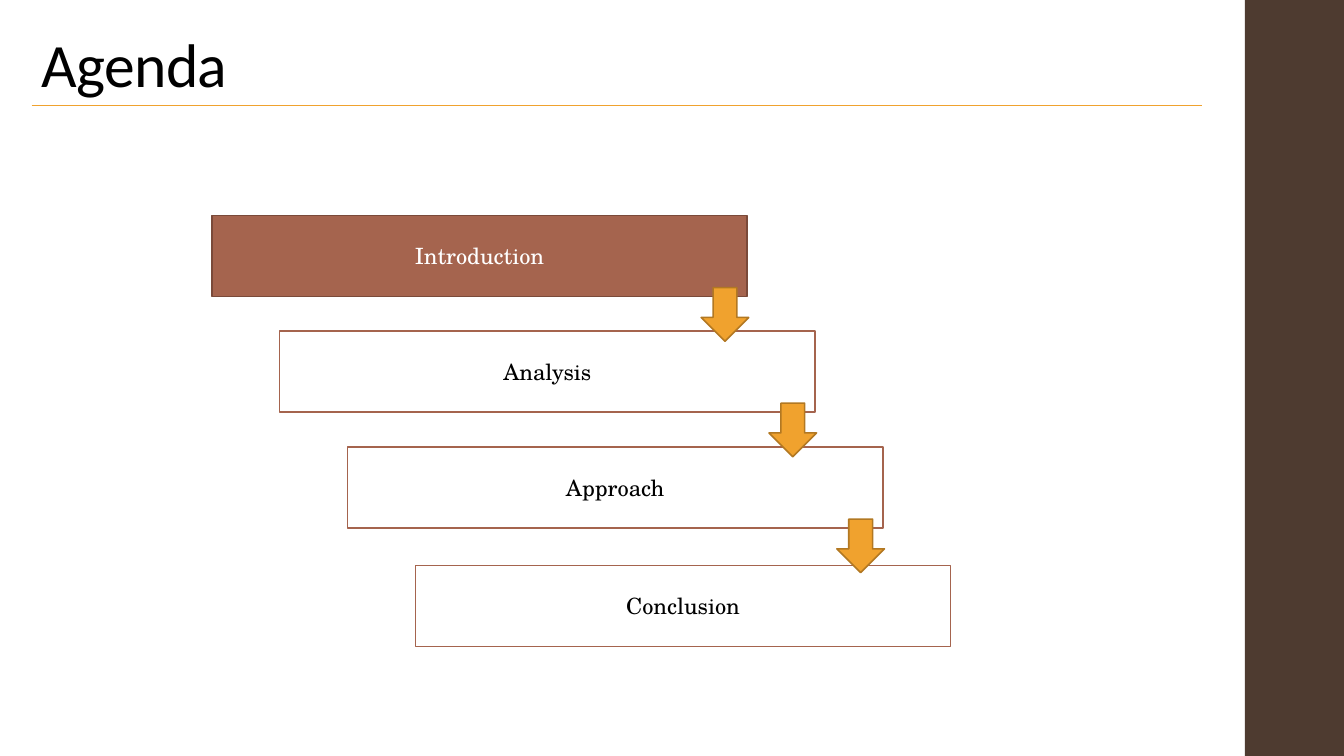
from collections import namedtuple
from dataclasses import dataclass

from lxml.etree import SubElement
from pptx import Presentation
from pptx.dml.color import RGBColor as Rgb
from pptx.enum.shapes import MSO_CONNECTOR as Connector, MSO_SHAPE as Preset
from pptx.enum.text import MSO_ANCHOR as Anchor, MSO_AUTO_SIZE as AutoSize, PP_ALIGN as Align
from pptx.oxml.ns import qn
from pptx.util import Cm, Pt

Box = namedtuple("Box", "left top width height")


@dataclass(frozen=True)
class Theme:
    """Colours, fonts and sizes of the deck."""
    band: Rgb = Rgb.from_string("4E3B30")
    clay: Rgb = Rgb.from_string("A5644E")
    clay_dark: Rgb = Rgb.from_string("7A4A3A")
    amber: Rgb = Rgb.from_string("F0A22E")
    amber_dark: Rgb = Rgb.from_string("B27822")
    white: Rgb = Rgb.from_string("FFFFFF")
    black: Rgb = Rgb.from_string("000000")
    title_font: str = "Calibri"
    step_font: str = "TeX Gyre Schola"
    title_size: Pt = Pt(44)
    step_size: Pt = Pt(16)
    outline: Pt = Pt(1.1)
    rule: Pt = Pt(0.75)


THEME = Theme()


def apply(target, formats):
    """Set each attribute of target named in formats."""
    for name, value in formats.items():
        setattr(target, name, value)


def write(frame, text, font, paragraph):
    """Put one formatted line of text in a frame and return its run."""
    line = frame.paragraphs[0]
    apply(line, paragraph)
    run = line.add_run()
    run.text = text
    color = font.pop("color")
    apply(run.font, font)
    run.font.color.rgb = color
    return run


def add_block(slide, preset, box, fill, outline=None):
    """Add a flat filled preset shape, outlined if a colour is given."""
    block = slide.shapes.add_shape(preset, *map(Cm, box))
    block.shadow.inherit = False
    block.fill.solid()
    block.fill.fore_color.rgb = fill
    if outline is None:
        block.line.fill.background()
    else:
        block.line.color.rgb = outline
        block.line.width = THEME.outline
    return block


def add_heading(slide, box, text):
    """Place the title at the left of the box and a rule along its bottom."""
    title = slide.shapes.title
    apply(title, dict(left=Cm(box.left), top=Cm(box.top),
                      width=Cm(box.width - 1.09), height=Cm(box.height)))
    apply(title.text_frame, dict(
        vertical_anchor=Anchor.BOTTOM, auto_size=AutoSize.NONE, word_wrap=True,
        margin_left=Cm(0.25), margin_right=Cm(0.25),
        margin_top=Cm(0.08), margin_bottom=Cm(0.13)))
    run = write(title.text_frame, text,
                dict(name=THEME.title_font, size=THEME.title_size, color=THEME.black),
                dict(alignment=Align.LEFT, line_spacing=0.9))
    run.font._element.set("spc", "-50")

    bottom = Cm(box.top + box.height)
    rule = slide.shapes.add_connector(Connector.STRAIGHT, Cm(box.left), bottom,
                                      Cm(box.left + box.width), bottom)
    rule.line.color.rgb = THEME.amber
    rule.line.width = THEME.rule
    SubElement(rule._element.spPr, qn("a:effectLst"))


def add_step(slide, box, topic, current):
    """Draw one agenda step, filled when it is the current one."""
    fill, outline, ink = ((THEME.clay, THEME.clay_dark, THEME.white) if current
                          else (THEME.white, THEME.clay, THEME.black))
    step = add_block(slide, Preset.RECTANGLE, box, fill, outline)
    apply(step.text_frame, dict(vertical_anchor=Anchor.MIDDLE, word_wrap=True))
    write(step.text_frame, topic,
          dict(name=THEME.step_font, size=THEME.step_size, color=ink),
          dict(alignment=Align.CENTER))


def add_staircase(slide, box, topics, drops, current=0):
    """Lay the steps diagonally across the box, joined by down arrows."""
    step_width, step_height = 13.49, 2.04
    shift = (box.width - step_width) / (len(topics) - 1)
    steps = [Box(box.left + index * shift, box.top + drop, step_width, step_height)
             for index, drop in enumerate(drops)]
    for index, (step, topic) in enumerate(zip(steps, topics)):
        add_step(slide, step, topic, index == current)
    for step in steps[:-1]:
        arrow = Box(step.left + 12.33, step.top + 1.82, 1.2, 1.35)
        add_block(slide, Preset.DOWN_ARROW, arrow, THEME.amber, THEME.amber_dark)


def add_agenda(deck, box):
    """Build the agenda slide inside the given page box."""
    slide = deck.slides.add_slide(deck.slide_layouts[5])
    band_width = 2.5
    add_block(slide, Preset.RECTANGLE,
              Box(box.left + box.width - band_width, box.top, band_width, box.height),
              THEME.band)
    add_heading(slide, Box(box.left + 0.8, box.top + 0.5, 29.49, 2.16), "Agenda")
    add_staircase(slide, Box(box.left + 5.34, box.top + 5.43, 18.62, 10.86),
                  ["Introduction", "Analysis", "Approach", "Conclusion"],
                  [0, 2.91, 5.83, 8.82])


page = Box(0, 0, 33.87, 19.05)
deck = Presentation()
apply(deck, dict(slide_width=Cm(page.width), slide_height=Cm(page.height)))
add_agenda(deck, page)
deck.save("out.pptx")
